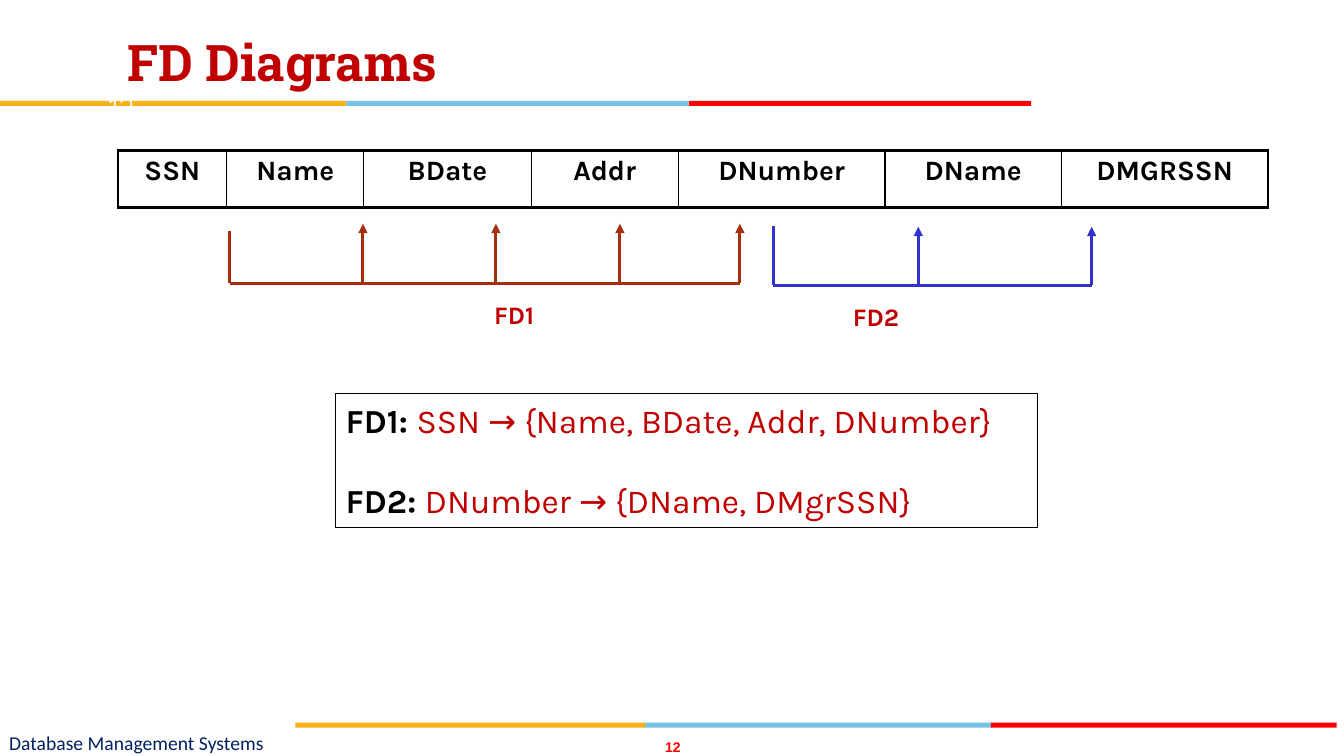
import itertools
from dataclasses import dataclass

import pptx
import pptx.dml.color
import pptx.enum.shapes
import pptx.enum.text
import pptx.oxml
import pptx.oxml.ns
import pptx.util

ALIGN = pptx.enum.text.PP_ALIGN
ANCHOR = pptx.enum.text.MSO_ANCHOR
RECT = pptx.enum.shapes.MSO_SHAPE.RECTANGLE
STRAIGHT = pptx.enum.shapes.MSO_CONNECTOR.STRAIGHT
GRID = pptx.util.Inches(0.1)


@dataclass(frozen=True)
class Theme:
    title: tuple = ("Roboto Slab", 36, "C00000", True)
    attribute: tuple = ("Karla", 20, "000000", True)
    label: tuple = ("Karla", 18, "C00000", True)
    rule_name: tuple = ("Karla", 24, "000000", True)
    rule: tuple = ("Karla", 24, "C00000", False)
    footer: tuple = ("Calibri", 14, "002060", False)
    number: tuple = ("Arial", 10, "FF0000", True)
    bar_number: tuple = ("Quicksand", 20, "FEFFFF", False)
    bars: tuple = ("FCB017", "76C2E5", "FF0000")
    ink: str = "000000"
    fd1: str = "A53010"
    fd2: str = "3333CC"
    arrow_width: float = 2.25


THEME = Theme()


def rgb(color):
    return pptx.dml.color.RGBColor.from_string(color)


def units(*values):
    return [round(v * GRID) for v in values]


def add_run(p, text, style):
    r = p.add_run()
    r.text = text
    name, size, color, bold = style
    r.font.name = name
    r.font.size = pptx.util.Pt(size)
    r.font.color.rgb = rgb(color)
    r.font.bold = bold


def add_text(slide, box, text, style, align=ALIGN.LEFT, anchor=ANCHOR.MIDDLE, inset=True):
    tf = slide.shapes.add_textbox(*units(*box)).text_frame
    tf.word_wrap = True
    tf.vertical_anchor = anchor
    if not inset:
        tf.margin_left = tf.margin_right = tf.margin_top = tf.margin_bottom = 0
    p = tf.paragraphs[0]
    p.alignment = align
    add_run(p, text, style)


def add_rect(slide, box, fill=None, line=None):
    sp = slide.shapes.add_shape(RECT, *units(*box))
    sp.shadow.inherit = False
    if fill:
        sp.fill.solid()
        sp.fill.fore_color.rgb = rgb(fill)
    else:
        sp.fill.background()
    if line:
        sp.line.color.rgb = rgb(line)
        sp.line.width = pptx.util.Pt(0.75)
    else:
        sp.line.fill.background()
    return sp


def add_line(slide, x1, y1, x2, y2, color, arrow=False):
    c = slide.shapes.add_connector(STRAIGHT, *units(x1, y1, x2, y2))
    c.line.color.rgb = rgb(color)
    c.line.width = pptx.util.Pt(THEME.arrow_width)
    if arrow:
        ln = c.line._get_or_add_ln()
        pptx.oxml.ns.qn("a:tailEnd")
        ln.append(pptx.oxml.parse_xml(
            f'<a:tailEnd {pptx.oxml.ns.nsdecls("a")} type="triangle"/>'))
    c._element.spPr.append(pptx.oxml.parse_xml(
        f'<a:effectLst {pptx.oxml.ns.nsdecls("a")}/>'))


def add_color_bar(slide, box):
    x, y, w, h = box
    weights = (34.4, 34, 34)
    for color, weight in zip(THEME.bars, weights):
        width = w * weight / sum(weights)
        add_rect(slide, (x, y, width, h), fill=color)
        x += width


def set_border(cell, side, width):
    cell._tc.get_or_add_tcPr().append(pptx.oxml.parse_xml(
        f'<a:{side} {pptx.oxml.ns.nsdecls("a")} w="{pptx.util.Pt(width)}">'
        f'<a:solidFill><a:srgbClr val="{THEME.ink}"/></a:solidFill></a:{side}>'))


def add_relation(slide, box, attributes):
    last = len(attributes) - 1
    table = slide.shapes.add_table(1, len(attributes), *units(*box)).table
    table.first_row = table.horz_banding = False
    for i, (name, width) in enumerate(attributes):
        table.columns[i].width = units(width)[0]
        cell = table.cell(0, i)
        cell.margin_left = cell.margin_right = pptx.util.Inches(0.12)
        set_border(cell, "lnL", 2.25 if i == 0 else 1)
        set_border(cell, "lnR", 2.25 if i == last else 1)
        set_border(cell, "lnT", 2.25)
        set_border(cell, "lnB", 2.25)
        cell.fill.background()
        p = cell.text_frame.paragraphs[0]
        p.alignment = ALIGN.CENTER
        p.space_before = pptx.util.Pt(6)
        add_run(p, name, THEME.attribute)


def add_dependency(slide, box, stem, targets, color, label, label_at):
    x, y, w, h = box
    base = y + h
    add_line(slide, x, base - stem, x, base, color)
    add_line(slide, x, base, x + w, base, color)
    for target in targets:
        add_line(slide, x + target, base, x + target, y, color, arrow=True)
    add_text(slide, (x + label_at - 5, base + 0.6, 10, 5), label, THEME.label, ALIGN.CENTER)


def add_rules(slide, box, rules):
    tf = add_rect(slide, box, line=THEME.ink).text_frame
    tf.word_wrap = True
    tf.vertical_anchor = ANCHOR.MIDDLE
    for i, (name, rule) in enumerate(rules):
        p = tf.add_paragraph() if i else tf.paragraphs[0]
        p.alignment = ALIGN.LEFT
        p.space_before = pptx.util.Pt(28.5 if i else 0)
        add_run(p, name, THEME.rule_name)
        add_run(p, rule, THEME.rule)


def add_frame(slide, title, number):
    add_color_bar(slide, (0, 10, 102.3, 0.5))
    add_color_bar(slide, (29.3, 71.7, 103.3, 0.5))
    add_text(slide, (65.1, 73.3, 3.3, 1.7), number, THEME.number, ALIGN.CENTER, inset=False)
    add_text(slide, (0.9, 72.3, 49.6, 2.7), "Database Management Systems",
             THEME.footer, inset=False)
    add_text(slide, (11.7, 2.6, 95.8, 8.4), title, THEME.title, anchor=ANCHOR.TOP)
    add_text(slide, (5.8, 8.6, 8.5, 4), number, THEME.bar_number, ALIGN.RIGHT)


def add_fd_slide(prs):
    slide = prs.slides.add_slide(prs.slide_layouts[6])
    add_frame(slide, "FD Diagrams", "12")
    add_relation(slide, (11.7, 14.9, 114.1, 5.7), (
        ("SSN", 10.8), ("Name", 13.6), ("BDate", 16.6), ("Addr", 14.6),
        ("DNumber", 20.5), ("DName", 17.5), ("DMGRSSN", 20.5)))
    add_dependency(slide, (22.8, 22.2, 50.6, 5.9), 5.2, (13.2, 26.4, 38.7, 50.6),
                   THEME.fd1, "FD1", 28.2)
    add_dependency(slide, (76.7, 22.5, 31.6, 5.8), 5.9, (14.4, 31.6),
                   THEME.fd2, "FD2", 10.2)
    add_rules(slide, (33.3, 39, 69.6, 13.3), (
        ("FD1: ", "SSN → {Name, BDate, Addr, DNumber}"),
        ("FD2: ", "DNumber → {DName, DMgrSSN}")))


def main():
    prs = pptx.Presentation()
    prs.slide_width, prs.slide_height = units(133.33, 75)
    add_fd_slide(prs)
    prs.save("out.pptx")


if __name__ == "__main__":
    main()
